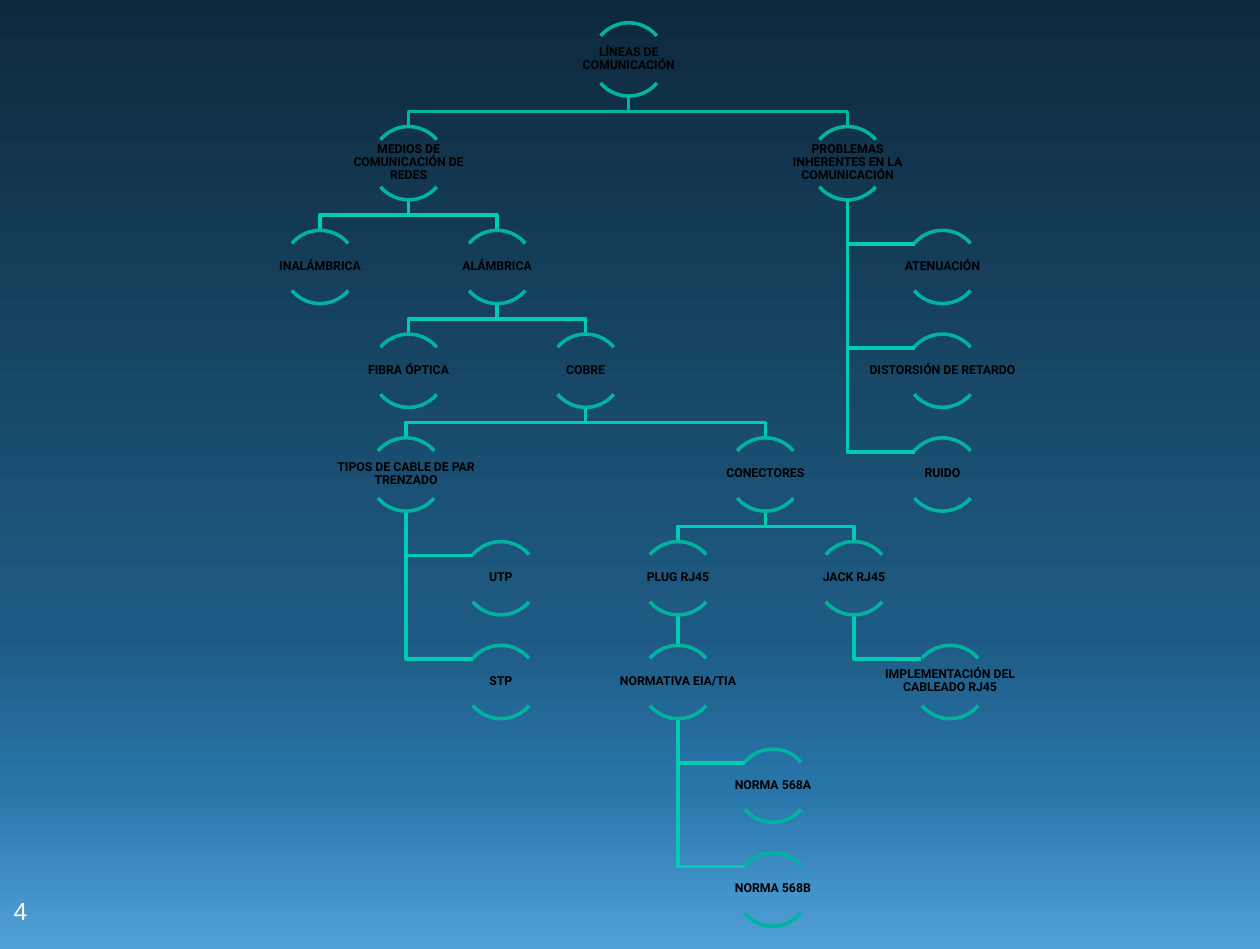
from copy import deepcopy

from lxml.etree import SubElement
from pptx import Presentation
from pptx.dml.color import RGBColor
from pptx.enum.shapes import MSO_CONNECTOR, MSO_SHAPE
from pptx.enum.text import MSO_ANCHOR, PP_ALIGN
from pptx.oxml.ns import qn
from pptx.util import Pt

HEX = {"arc": "00B49F", "link": "00CCB4", "text": "000000", "page": "FFFFFF"}
SKY = [(0, "0E293C"), (0.67, "1E5B84"), (0.83, "2875AA"), (1, "51A1D7")]
UNIT = 9144
SIZE, STEP, TOP = 58, 82, 18

ROOT = "LÍNEAS DE COMUNICACIÓN"
MEDIA = "MEDIOS DE COMUNICACIÓN DE REDES"
FAULTS = "PROBLEMAS INHERENTES EN LA COMUNICACIÓN"
WIRED = "ALÁMBRICA"
COPPER = "COBRE"
PAIRS = "TIPOS DE CABLE DE PAR TRENZADO"
ENDS = "CONECTORES"
PLUG = "PLUG RJ45"
JACK = "JACK RJ45"
NORM = "NORMATIVA EIA/TIA"

# label, centre, row, parent, hangs from the side
NODES = [
    (ROOT, 497, 0, None, False),
    (MEDIA, 323, 1, ROOT, False),
    ("INALÁMBRICA", 253, 2, MEDIA, False),
    (WIRED, 393, 2, MEDIA, False),
    ("FIBRA ÓPTICA", 323, 3, WIRED, False),
    (COPPER, 463, 3, WIRED, False),
    (PAIRS, 321, 4, COPPER, False),
    ("UTP", 396, 5, PAIRS, True),
    ("STP", 396, 6, PAIRS, True),
    (ENDS, 605, 4, COPPER, False),
    (PLUG, 536, 5, ENDS, False),
    (NORM, 536, 6, PLUG, False),
    ("NORMA 568A", 611, 7, NORM, True),
    ("NORMA 568B", 611, 8, NORM, True),
    (JACK, 675, 5, ENDS, False),
    ("IMPLEMENTACIÓN DEL CABLEADO RJ45", 751, 6, JACK, True),
    (FAULTS, 670, 1, ROOT, False),
    ("ATENUACIÓN", 745, 2, FAULTS, True),
    ("DISTORSIÓN DE RETARDO", 745, 3, FAULTS, True),
    ("RUIDO", 745, 4, FAULTS, True),
]


class Chart:
    """Draws the parts of a tree chart on one slide."""

    def __init__(self, slide):
        self.slide = slide
        self.shapes = slide.shapes

    def sky(self, stops):
        fill = self.slide.background.fill
        fill.gradient()
        fill.gradient_angle = 270
        marks = self.slide.element.find(".//" + qn("a:gsLst"))
        while len(marks) < len(stops):
            marks.append(deepcopy(marks[0]))
        for stop, (place, tint) in zip(fill.gradient_stops, stops):
            stop.position = place
            stop.color.rgb = RGBColor.from_string(tint)

    def stroke(self, shape, tint):
        shape.line.color.rgb = RGBColor.from_string(HEX[tint])
        shape.line.width = Pt(2)

    def plain(self, shape, tint):
        shape.shadow.inherit = False
        shape.fill.background()
        self.stroke(shape, tint)

    def line(self, points, tint):
        if len(points) == 2:
            ends = [n * UNIT for point in points for n in point]
            wire = self.shapes.add_connector(MSO_CONNECTOR.STRAIGHT, *ends)
            SubElement(wire.element.spPr, qn("a:effectLst"))
            self.stroke(wire, tint)
            wire.element.spPr.append(wire.element.spPr.find(qn("a:effectLst")))
            return
        pen = self.shapes.build_freeform(*points[0], scale=float(UNIT))
        pen.add_line_segments(points[1:], close=False)
        self.plain(pen.convert_to_shape(), tint)

    def arc(self, x, y, start, stop):
        box = [n * UNIT for n in (x, y, SIZE, SIZE)]
        shape = self.shapes.add_shape(MSO_SHAPE.ARC, *box)
        shape.adjustments[0] = start
        shape.adjustments[1] = stop
        self.plain(shape, "arc")

    def text(self, words, box, font, size, tint, pad=0):
        shape = self.shapes.add_textbox(*[n * UNIT for n in box])
        frame = shape.text_frame
        frame.word_wrap = True
        frame.margin_left = frame.margin_right = pad * UNIT
        frame.margin_top = frame.margin_bottom = pad * UNIT
        para = frame.paragraphs[0]
        run = para.add_run()
        run.text = words
        run.font.name = font
        run.font.size = Pt(size)
        run.font.color.rgb = RGBColor.from_string(HEX[tint])
        return frame, para, run

    def node(self, label, x, y):
        left = x - SIZE // 2
        self.arc(left, y, 132, 192)
        self.arc(left, y, 24, 84)
        box = (x - SIZE, y + 10, 2 * SIZE, 37)
        frame, para, run = self.text(label, box, "Roboto", 7, "text")
        frame.vertical_anchor = MSO_ANCHOR.MIDDLE
        para.alignment = PP_ALIGN.CENTER
        para.line_spacing = 0.9
        para.space_after = Pt(2.45)
        run.font.bold = True

    def link(self, start, end, side, tint):
        (x, y), (to, low) = start, end
        y += SIZE
        mid = y + (STEP - SIZE) // 2
        if side:
            points = [(x, y), (x, low + 11), (x + 53, low + 11)]
        elif x == to:
            points = [(x, y), (x, low)]
        else:
            points = [(x, y), (x, mid), (to, mid), (to, low)]
        self.line(points, tint)


def main():
    deck = Presentation()
    deck.slide_width, deck.slide_height = 996 * UNIT, 750 * UNIT
    chart = Chart(deck.slides.add_slide(deck.slide_layouts[6]))
    chart.sky(SKY)
    spots = {label: (x, TOP + STEP * row) for label, x, row, *_ in NODES}
    for label, _, _, parent, side in reversed(NODES):
        if parent:
            tint = "arc" if parent == ROOT else "link"
            chart.link(spots[parent], spots[label], side, tint)
    for label, spot in spots.items():
        chart.node(label, *spot)
    chart.text("4", (1, 698, 60, 52), "Arial", 14, "page", pad=10)
    deck.save("out.pptx")


if __name__ == "__main__":
    main()
